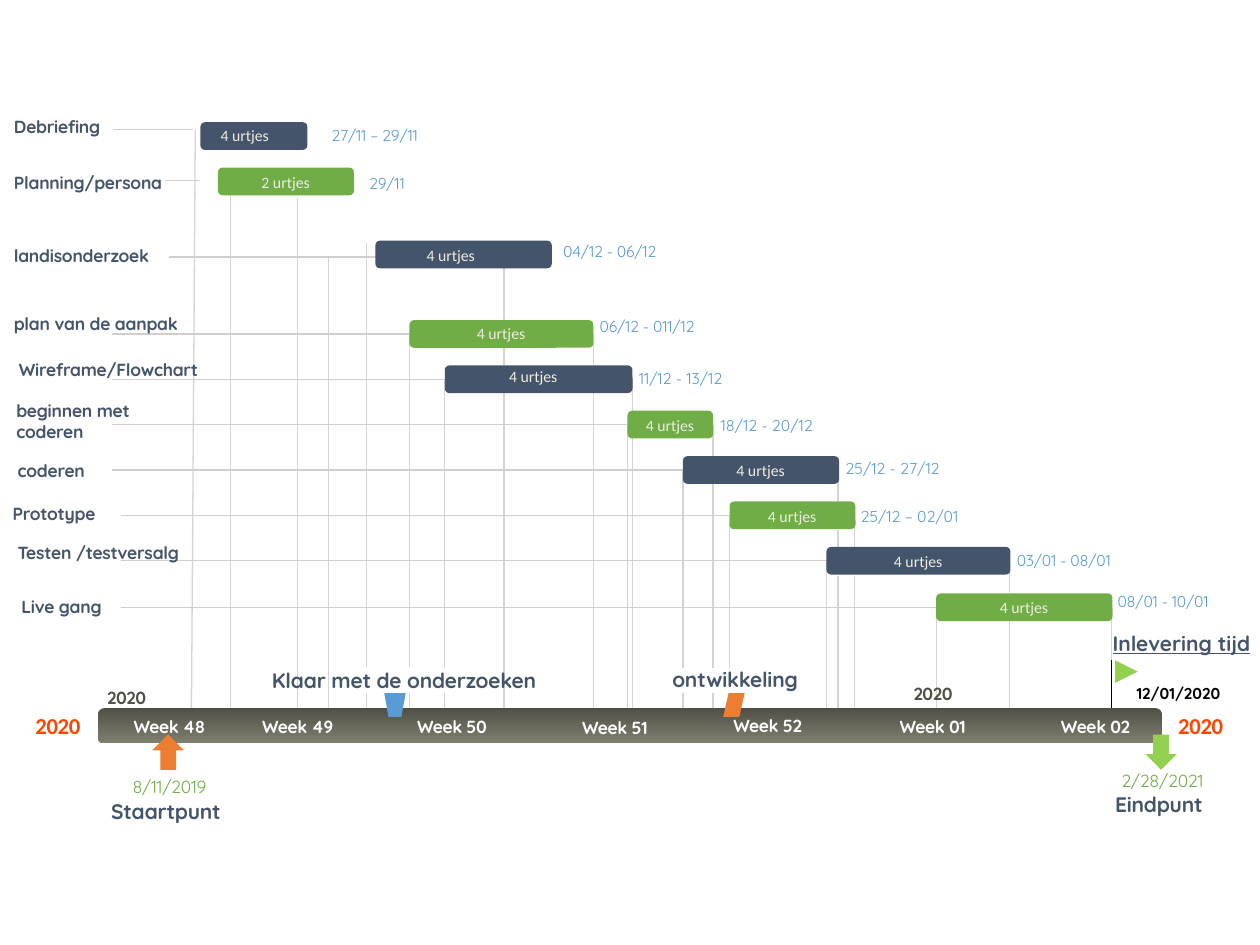
"""Build a one-slide project planning with task bars above a week timeline."""
from typing import NamedTuple

from lxml import etree
from pptx import Presentation
from pptx.dml.color import RGBColor
from pptx.enum.shapes import MSO_CONNECTOR, MSO_SHAPE
from pptx.enum.text import MSO_ANCHOR, MSO_AUTO_SIZE, PP_ALIGN
from pptx.oxml.ns import qn
from pptx.util import Cm, Pt

STRAIGHT = MSO_CONNECTOR.STRAIGHT
ROUNDED = MSO_SHAPE.ROUNDED_RECTANGLE
LEFT, CENTER = PP_ALIGN.LEFT, PP_ALIGN.CENTER
MIDDLE = MSO_ANCHOR.MIDDLE
GROW, FIXED = MSO_AUTO_SIZE.SHAPE_TO_FIT_TEXT, MSO_AUTO_SIZE.NONE

SLATE, GREEN, BLUE, ORANGE, LIME = "44546A", "70AD47", "5B9BD5", "ED7D31", "92D050"
OLIVE, CREAM, WHITE, BLACK = "505046", "EEECE1", "FFFFFF", "000000"
BAR_HEIGHT, BAND_TOP, FIRST_STEP, STEP = 0.22, 5.62, 2.54, 0.36


class Box(NamedTuple):
    """A rectangle in inches."""
    left: float
    top: float
    width: float
    height: float

    def inside(self, left, top, width, height):
        """Return a box placed relative to this one."""
        return Box(self.left + left, self.top + top, width, height)


class Task(NamedTuple):
    """One planned task; the offsets are relative to its bar."""
    label: str
    label_place: tuple
    rule: tuple
    bar: tuple
    hours: str
    hours_shift: tuple
    dates: str
    dates_place: tuple
    dates_spacing: float


def step_top(index):
    """Return the bar top of an evenly spaced task."""
    return FIRST_STEP + index * STEP + (0.01 if index == 6 else 0)


TASKS = [
    Task("Debriefing ", (0.11, -0.05, 0.75, 0.17), (0.9, 1.53, 0.06), (1.59, 0.97, 0.85),
         "4 urtjes ", (-0.07, 0.03), "27/11 – 29/11", (0.19, 0.03, 0.85), -0.1),
    Task("Planning/persona  ", (0.11, 0.03, 1.36, 0.17), (1.31, 1.59, 0.1), (1.73, 1.33, 1.08),
         "2 urtjes", (0, 0.04), "29/11", (0.12, 0.05, 0.85), -0.1),
    Task("landisonderzoek", (0.11, 0.03, 1.29, 0.17), (1.34, 3.02, 0.13), (2.98, 1.91, 1.4),
         "4 urtjes", (-0.1, 0.04), "04/12 - 06/12", (0.09, 0.01, 0.95), -0.1),
    Task("plan van de aanpak ", (0.11, -0.06, 1.58, 0.17), (0.89, 3.25, 0.11),
         (3.25, step_top(0), 1.46),
         "4 urtjes", (0, 0.03), "06/12 - 011/12", (0.05, -0.03, 1.02), -0.1),
    Task("Wireframe/Flowchart", (0.15, -0.05, 1.48, 0.17), (0.89, 3.53, 0.11),
         (3.53, step_top(1), 1.49),
         "4 urtjes", (-0.04, 0.01), "11/12 - 13/12", (0.05, 0.03, 1.16), 0),
    Task("beginnen met coderen ", (0.13, -0.09, 1.42, 0.34), (0.89, 4.98, 0.11),
         (4.98, step_top(2), 0.68),
         "4 urtjes", (0, 0.04), "18/12 - 20/12", (0.06, 0.04, 1.16), 0),
    Task("coderen", (0.14, 0.03, 0.75, 0.17), (0.89, 5.42, 0.11), (5.42, step_top(3), 1.24),
         "4 urtjes", (0, 0.04), "25/12 - 27/12", (0.05, 0.02, 1.08), 0),
    Task("Prototype", (0.1, 0.01, 0.83, 0.17), (0.96, 5.79, 0.11), (5.79, step_top(4), 1),
         "4 urtjes", (0, 0.04), "25/12 – 02/01", (0.04, 0.04, 1.08), 0),
    Task("Testen /testversalg", (0.14, -0.04, 1.35, 0.17), (0.96, 6.56, 0.11),
         (6.56, step_top(5), 1.46),
         "4 urtjes", (0, 0.04), "03/01 - 08/01", (0.05, 0.03, 1.16), -0.1),
    Task("Live gang", (0.17, 0.02, 0.83, 0.17), (0.96, 7.43, 0.11), (7.43, step_top(6), 1.4),
         "4 urtjes", (0, 0.03), "08/01 - 10/01", (0.04, -0.01, 0.83), -0.1),
]

DROP_LINES = [
    (8.82, [(4.82, BAND_TOP)]), (7.43, [(4.82, BAND_TOP)]),
    (8.01, [(4.89, BAND_TOP), (4.46, 4.71)]), (6.56, [(4.46, BAND_TOP)]),
    (6.78, [(4.57, BAND_TOP), (4.09, 4.34)]), (5.79, [(5.5, BAND_TOP), (4.09, 5.3)]),
    (6.65, [(4.57, BAND_TOP), (4.21, 4.34), (3.73, 3.98)]),
    (5.42, [(5.5, BAND_TOP), (3.73, 5.3)]),
    (5.66, [(5.5, BAND_TOP), (3.84, 5.3), (3.37, 3.62)]), (4.98, [(3.37, BAND_TOP)]),
    (5.02, [(3.48, BAND_TOP), (3.01, 3.26)]), (3.53, [(5.5, BAND_TOP), (3.01, 5.3)]),
    (4.71, [(3.12, BAND_TOP), (2.65, 2.9)]), (3.25, [(5.5, BAND_TOP), (2.65, 5.3)]),
    (4, [(3.12, BAND_TOP), (2.73, 2.9), (2.13, 2.54)]), (2.61, [(2.05, BAND_TOP)]),
    (2.91, [(5.5, BAND_TOP), (2.1, 5.3), (1.93, 2.18)]), (1.83, [(1.55, BAND_TOP)]),
    (2.36, [(1.63, BAND_TOP), (1.57, 1.82)]),
]


def inches(value):
    """Convert inches to a length."""
    return Cm(value * 2.54)


def color(value):
    """Convert a hex string to a colour."""
    return RGBColor.from_string(value)


def add_text(slide, text, box, size=10, font="Quicksand", fill=SLATE, bold=False,
             underline=False, spacing=0, align=LEFT, wrap=True, fit=GROW):
    """Add a text box without insets."""
    shape = slide.shapes.add_textbox(*map(inches, box))
    frame = shape.text_frame
    frame.margin_left = frame.margin_right = frame.margin_top = frame.margin_bottom = 0
    frame.vertical_anchor, frame.word_wrap, frame.auto_size = MIDDLE, wrap, fit
    paragraph = frame.paragraphs[0]
    paragraph.alignment = align
    run = paragraph.add_run()
    run.text = text
    run.font.name, run.font.size, run.font.bold = font, Pt(size), bold
    run.font.color.rgb = color(fill)
    if underline:
        run.font.underline = True
    if spacing:
        run.font._element.set("spc", str(round(spacing * 100)))


def add_shape(slide, kind, box, fill, rotation=0):
    """Add a flat preset shape without outline."""
    shape = slide.shapes.add_shape(kind, *map(inches, box))
    shape.shadow.inherit = False
    shape.line.fill.background()
    shape.fill.solid()
    shape.fill.fore_color.rgb = color(fill)
    shape.rotation = rotation
    return shape


def add_line(slide, start, end, stroke):
    """Add a thin straight line."""
    line = slide.shapes.add_connector(STRAIGHT, *map(inches, (*start, *end)))
    line.line.color.rgb = color(stroke)
    line.line.width = Pt(0.75)
    etree.SubElement(line._element.spPr, qn("a:effectLst"))


def add_drop_lines(slide):
    """Draw the vertical lines from the bars to the timeline."""
    for x, spans in DROP_LINES:
        for top, bottom in spans:
            add_line(slide, (x, top), (x, bottom), "D5D4D3")
    add_line(slide, (1.55, 1.03), (1.52, BAND_TOP), "D5D4D3")


def add_task(slide, task, bar, fill):
    """Draw one task around the box of its bar."""
    start, end, drop = task.rule
    add_line(slide, (start, bar.top + drop), (end, bar.top + drop), "D2CECE")
    add_shape(slide, ROUNDED, bar, fill)
    left, drop, width, height = task.label_place
    add_text(slide, task.label, Box(left, bar.top + drop, width, height), bold=True, spacing=-0.1)
    shift, drop = task.hours_shift
    add_text(slide, task.hours, bar.inside((bar.width - 0.39) / 2 + shift, drop, 0.39, 0.15),
             size=9, font="Calibri", fill=CREAM)
    gap, drop, width = task.dates_place
    add_text(slide, task.dates, bar.inside(bar.width + gap, drop, width, 0.15),
             size=9, fill=BLUE, spacing=task.dates_spacing)


def add_timeline(slide, band):
    """Draw the week band with its years."""
    shape = add_shape(slide, ROUNDED, band, OLIVE)
    shape.fill.gradient()
    shape.fill.gradient_angle = 270
    for stop, shade in zip(shape.fill.gradient_stops, (OLIVE, "7F7F70")):
        stop.color.rgb = color(shade)
    weeks = [("48", 0.28, 0.06), ("49", 1.3, 0.06), ("50", 2.53, 0.06), ("51", 3.84, 0.07),
             ("52", 5.04, 0.05), ("01", 6.36, 0.06), ("02", 7.64, 0.06)]
    for week, left, top in weeks:
        add_text(slide, f"Week {week}", band.inside(left, top, 0.25, 0.17), fill=WHITE,
                 bold=True, spacing=-0.2, wrap=False, fit=FIXED)
    for left, top in ((0.07, -0.17), (6.47, -0.2)):
        add_text(slide, "2020", band.inside(left, top, 0.32, 0.17), fill=OLIVE,
                 bold=True, spacing=-0.2, wrap=False, fit=FIXED)
    for left in (-0.5, band.width + 0.13):
        add_text(slide, "2020", band.inside(left, 0.03, 0.36, 0.22), size=13, font="Calibri",
                 fill="FF4500", bold=True, spacing=-0.2, align=CENTER, wrap=False)


def add_milestones(slide, band):
    """Draw the markers and captions above the band."""
    markers = [(MSO_SHAPE.FLOWCHART_MANUAL_OPERATION, 2.27, BLUE, "Klaar met de onderzoeken ",
                1.3, -0.32, 2.3),
               (MSO_SHAPE.PARALLELOGRAM, 4.96, ORANGE, "ontwikkeling", 4.27, -0.33, 1.57)]
    for kind, left, fill, caption, text_left, text_top, width in markers:
        add_shape(slide, kind, band.inside(left, -0.12, 0.17, 0.19), fill)
        add_text(slide, caption, band.inside(text_left, text_top, width, 0.2), size=12,
                 bold=True, spacing=-0.1, align=CENTER)
    add_line(slide, (8.82, band.top - 0.38), (8.82, band.top), BLACK)
    add_shape(slide, MSO_SHAPE.FLOWCHART_MERGE, band.inside(8.07, -0.38, 0.18, 0.18), LIME, 270)
    add_text(slide, "Inlevering tijd ", band.inside(8.05, -0.72, 1.1, 0.41), size=12,
             bold=True, underline=True, fit=FIXED)
    add_text(slide, "12/01/2020", band.inside(8.24, -0.19, 0.68, 0.15), size=9,
             fill=BLACK, bold=True)


def add_endpoint(slide, arrow, kind, fill, date, caption, date_box, caption_box):
    """Draw an arrow with its date and caption below."""
    add_shape(slide, kind, arrow, fill)
    add_text(slide, caption, arrow.inside(*caption_box, 0.92, 0.2), size=12, bold=True,
             spacing=-0.1, align=CENTER)
    add_text(slide, date, arrow.inside(*date_box, 0.67, 0.17), fill=GREEN, spacing=-0.1,
             align=CENTER)


def main():
    """Build and save the presentation."""
    presentation = Presentation()
    presentation.slide_width, presentation.slide_height = Cm(25.4), Cm(19.05)
    slide = presentation.slides.add_slide(presentation.slide_layouts[6])
    band = Box(0.78, BAND_TOP, 8.44, 0.28)
    add_drop_lines(slide)
    add_timeline(slide, band)
    for index, task in enumerate(TASKS):
        add_task(slide, task, Box(*task.bar, BAR_HEIGHT), (SLATE, GREEN)[index % 2])
    add_milestones(slide, band)
    add_endpoint(slide, band.inside(0.43, 0.21, 0.25, 0.28), MSO_SHAPE.UP_ARROW, ORANGE,
                 "8/11/2019", "Staartpunt ", (-0.2, 0.33), (-0.33, 0.51))
    add_endpoint(slide, band.inside(8.31, 0.21, 0.25, 0.28), MSO_SHAPE.DOWN_ARROW, LIME,
                 "2/28/2021", "Eindpunt ", (-0.2, 0.28), (-0.33, 0.45))
    presentation.save("out.pptx")


main()
